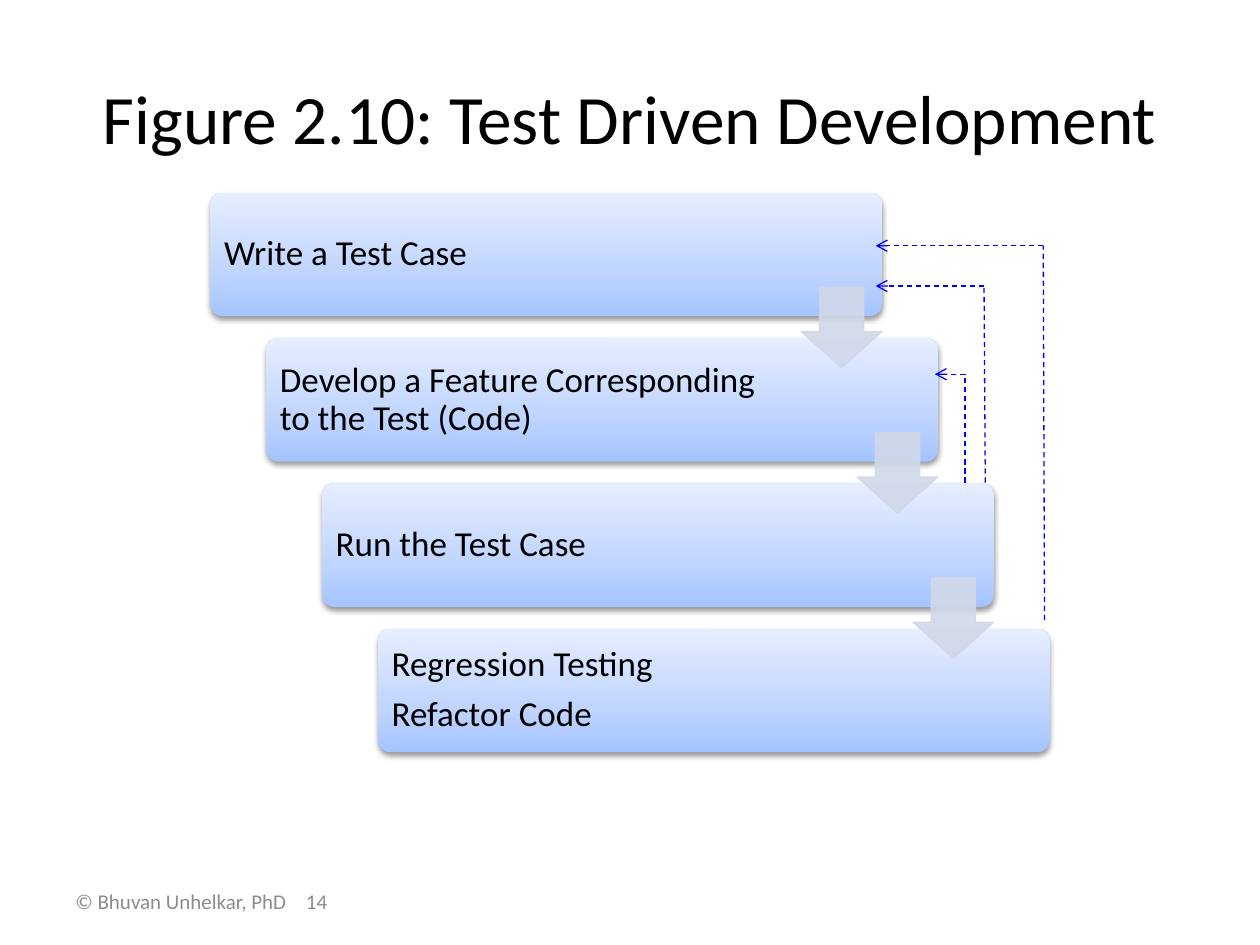
"""Build the test driven development slide: four stepped boxes with feedback loops."""
import copy

import pptx
import pptx.dml.color
import pptx.enum.dml
import pptx.enum.shapes
import pptx.enum.text
import pptx.oxml
import pptx.oxml.ns
import pptx.util
from pptx.util import Inches

THEME = {
    "font": "Calibri",
    "title": 39.6, "body": 20, "footer": 12,
    "text": "000000", "muted": "8C8C8C",
    "box": [(0, "A4C4FF"), (0.35, "BFD4FF"), (1, "E6EEFF")],
    "arrow": "D0D8E8", "loop": "0000FF",
}
RGB = pptx.dml.color.RGBColor.from_string
SHAPE = pptx.enum.shapes.MSO_SHAPE
qn = pptx.oxml.ns.qn


def style(p, size, color, align):
    p.font.name = THEME["font"]
    p.font.size = pptx.util.Pt(size)
    p.font.color.rgb = RGB(color)
    p.alignment = align


def add_xml(parent, xml):
    parent.append(pptx.oxml.parse_xml(xml.replace(
        "<a:", f"<a:", 1).replace(" ", f" {pptx.oxml.ns.nsdecls('a')} ", 1)))


prs = pptx.Presentation()
prs.slide_width, prs.slide_height = Inches(10), Inches(7.5)
s = prs.slides.add_slide(prs.slide_layouts[5])
ALIGN = pptx.enum.text.PP_ALIGN
MIDDLE = pptx.enum.text.MSO_ANCHOR.MIDDLE

footer = s.shapes.add_textbox(Inches(0.5), Inches(6.95), Inches(2.33), Inches(0.4))
tf = footer.text_frame
tf.word_wrap = True
tf.vertical_anchor = MIDDLE
p = tf.paragraphs[0]
p.text = "© Bhuvan Unhelkar, PhD\t14"
style(p, THEME["footer"], THEME["muted"], ALIGN.LEFT)
add_xml(p._p.get_or_add_pPr(), '<a:tabLst ><a:tab pos="%d" algn="l"/></a:tabLst>' % Inches(1.83))

steps = [
    ["Write a Test Case"],
    ["Develop a Feature Corresponding to the Test (Code)"],
    ["Run the Test Case"],
    ["Regression Testing", "Refactor Code"],
]
left, top, box_w, box_h = 1.67, 1.53, 5.33, 0.98
dx, dy = 1.33 / 3, 3.46 / 3

for i, lines in enumerate(steps):
    sp = s.shapes.add_shape(SHAPE.ROUNDED_RECTANGLE, Inches(left + i * dx),
                            Inches(top + i * dy), Inches(box_w), Inches(box_h))
    sp.adjustments[0] = 0.1
    sp.line.fill.background()
    sp.fill.gradient()
    sp.fill.gradient_angle = 90
    stop_list = sp._element.spPr.find(".//" + qn("a:gsLst"))
    stop_list.insert(1, copy.deepcopy(stop_list[0]))
    for stop, (position, color) in zip(sp.fill.gradient_stops, THEME["box"]):
        stop.position = position
        stop.color.rgb = RGB(color)
    sp.shadow.inherit = False
    add_xml(sp._element.spPr.find(qn("a:effectLst")),
            '<a:outerShdw blurRad="39370" dist="20320" dir="5400000" rotWithShape="0">'
            '<a:srgbClr val="000000"><a:alpha val="38000"/></a:srgbClr></a:outerShdw>')
    tf = sp.text_frame
    tf.word_wrap = True
    tf.vertical_anchor = MIDDLE
    tf.margin_left = tf.margin_top = tf.margin_bottom = Inches(0.08)
    tf.margin_right = Inches(1.16)
    tf.text = "\n".join(lines)
    for p in tf.paragraphs:
        style(p, THEME["body"], THEME["text"], ALIGN.LEFT)
        p.line_spacing = 0.9
        p.space_after = pptx.util.Pt(7)

for i in range(len(steps) - 1):
    sp = s.shapes.add_shape(SHAPE.DOWN_ARROW, Inches(6.36 + i * dx),
                            Inches(2.28 + i * dy), Inches(0.64), Inches(0.64))
    sp.adjustments[0], sp.adjustments[1] = 0.55, 0.45
    sp.shadow.inherit = False
    sp.fill.solid()
    sp.fill.fore_color.rgb = RGB(THEME["arrow"])
    sp.line.color.rgb = RGB(THEME["arrow"])
    sp.line.width = pptx.util.Pt(0.75)
    for color in sp._element.spPr.iter(qn("a:srgbClr")):
        add_xml(color, '<a:alpha val="90000"/>')

title = s.shapes.title
title.left, title.top = Inches(0.5), Inches(0.3)
title.width, title.height = Inches(9), Inches(1.25)
tf = title.text_frame
tf.text = "Figure 2.10: Test Driven Development"
tf.auto_size = pptx.enum.text.MSO_AUTO_SIZE.NONE
tf.vertical_anchor = MIDDLE
style(tf.paragraphs[0], THEME["title"], THEME["text"], ALIGN.CENTER)

loops = [
    [(7.66, 3.83), (7.66, 2.97), (7.42, 2.97)],
    [(7.82, 3.83), (7.81, 2.27), (6.95, 2.27)],
    [(8.29, 4.92), (8.28, 1.95), (6.95, 1.95)],
]
for start, corner, end in loops:
    for a, b in ((start, corner), (corner, end)):
        c = s.shapes.add_connector(pptx.enum.shapes.MSO_CONNECTOR.STRAIGHT,
                                   *(Inches(v) for v in a + b))
        c.line.color.rgb = RGB(THEME["loop"])
        c.line.width = pptx.util.Pt(0.75)
        c.line.dash_style = pptx.enum.dml.MSO_LINE.DASH
        if b == end:
            add_xml(c.line._get_or_add_ln(), '<a:tailEnd type="arrow"/>')
        add_xml(c._element.spPr, "<a:effectLst />")

prs.save("out.pptx")
